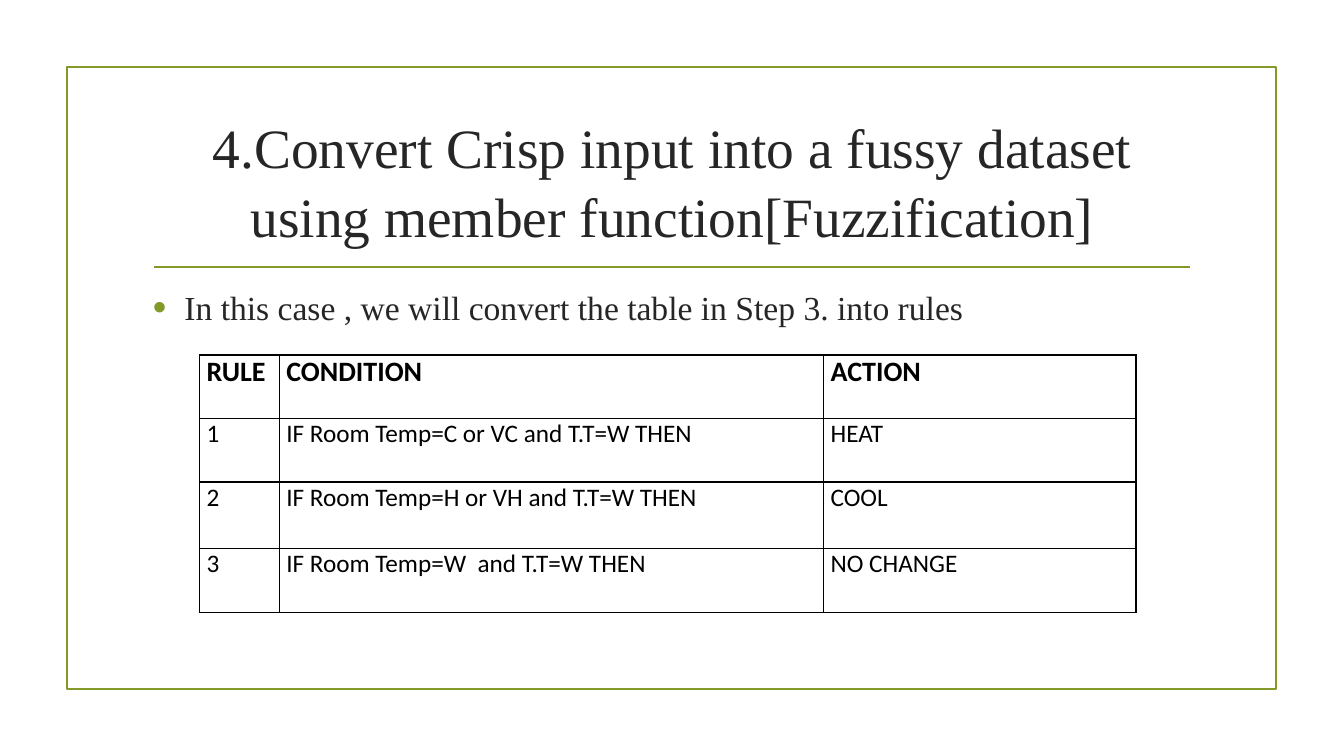
from lxml.etree import SubElement
from pptx import Presentation
from pptx.dml.color import RGBColor
from pptx.enum.shapes import MSO_CONNECTOR as Connector, MSO_SHAPE as Shape
from pptx.enum.text import MSO_ANCHOR as Anchor, MSO_AUTO_SIZE as AutoSize, PP_ALIGN as Align
from pptx.oxml.ns import qn
from pptx.util import Pt

OLIVE = RGBColor(0x83, 0x99, 0x2A)
CHARCOAL = RGBColor(0x26, 0x26, 0x26)
BLACK = RGBColor(0, 0, 0)
WHITE = RGBColor(255, 255, 255)

COLUMN_WIDTHS = [56.9, 388.8, 223.2]
ROW_HEIGHTS = [45.4, 45.4, 47.5, 45.4]
RULES = [
    ("RULE", "CONDITION", "ACTION"),
    ("1", "IF Room Temp=C or VC and T.T=W THEN", "HEAT"),
    ("2", "IF Room Temp=H or VH and T.T=W THEN", "COOL"),
    ("3", "IF Room Temp=W  and T.T=W THEN", "NO CHANGE"),
]


def apply(target, values):
    for name, value in values.items():
        setattr(target, name, value)


class RuleSlide:
    heading_font = "Times New Roman"
    table_font = "Calibri"
    line_width = 1.25
    border_width = 1

    def __init__(self, presentation):
        self.slide = presentation.slides.add_slide(presentation.slide_layouts[5])

    def add_text(self, paragraph, text, font, size, color, bold=False):
        run = paragraph.add_run()
        run.text = text
        apply(run.font, {"name": font, "size": Pt(size), "bold": bold})
        run.font.color.rgb = color

    def place(self, shape, left, top, width, height):
        apply(shape, {"left": Pt(left), "top": Pt(top),
                      "width": Pt(width), "height": Pt(height)})

    def outline(self, shape):
        shape.line.color.rgb = OLIVE
        shape.line.width = Pt(self.line_width)

    def frame(self, left, top, width, height):
        shape = self.slide.shapes.add_shape(
            Shape.RECTANGLE, Pt(left), Pt(top), Pt(width), Pt(height))
        shape.shadow.inherit = False
        shape.fill.background()
        self.outline(shape)

    def divider(self, left, right, y):
        connector = self.slide.shapes.add_connector(
            Connector.STRAIGHT, Pt(left), Pt(y), Pt(right), Pt(y))
        self.outline(connector)
        SubElement(connector._element.spPr, qn("a:effectLst"))

    def title(self, text, *box):
        shape = self.slide.shapes.title
        self.place(shape, *box)
        apply(shape.text_frame, {"word_wrap": True, "auto_size": AutoSize.NONE,
                                 "vertical_anchor": Anchor.MIDDLE})
        paragraph = shape.text_frame.paragraphs[0]
        apply(paragraph, {"alignment": Align.CENTER, "line_spacing": 1.04})
        self.add_text(paragraph, text, self.heading_font, 39.6, CHARCOAL)

    def bullet(self, text, left, top, width, height):
        shape = self.slide.shapes.add_textbox(Pt(left), Pt(top), Pt(width), Pt(height))
        shape.text_frame.word_wrap = True
        paragraph = shape.text_frame.paragraphs[0]
        apply(paragraph, {"space_before": Pt(4.8), "space_after": Pt(6)})
        self.add_text(paragraph, text, self.heading_font, 24, CHARCOAL)
        properties = paragraph._p.get_or_add_pPr()
        properties.set("marL", str(Pt(22.5)))
        properties.set("indent", str(Pt(-22.5)))
        color = SubElement(properties, qn("a:buClr"))
        SubElement(color, qn("a:srgbClr"), val=str(OLIVE))
        SubElement(properties, qn("a:buSzPct"), val="115000")
        SubElement(properties, qn("a:buFont"), typeface="Arial")
        SubElement(properties, qn("a:buChar"), char="•")

    def borders(self, cell):
        properties = cell._tc.get_or_add_tcPr()
        for position, side in enumerate(("a:lnL", "a:lnR", "a:lnT", "a:lnB")):
            line = properties.makeelement(qn(side), {"w": str(Pt(self.border_width))})
            fill = SubElement(line, qn("a:solidFill"))
            SubElement(fill, qn("a:srgbClr"), val=str(BLACK))
            properties.insert(position, line)

    def table(self, rows, widths, heights, left, top):
        table = self.slide.shapes.add_table(
            len(rows), len(widths), Pt(left), Pt(top),
            Pt(sum(widths)), Pt(sum(heights))).table
        apply(table, {"first_row": False, "horz_banding": False})
        for column, width in zip(table.columns, widths):
            column.width = Pt(width)
        for row, height, texts in zip(table.rows, heights, rows):
            row.height = Pt(height)
            header = texts is rows[0]
            for cell, text in zip(row.cells, texts):
                apply(cell, {"margin_left": Pt(5), "margin_right": Pt(5),
                             "margin_top": 0, "margin_bottom": 0})
                cell.fill.solid()
                cell.fill.fore_color.rgb = WHITE
                self.borders(cell)
                self.add_text(cell.text_frame.paragraphs[0], text, self.table_font,
                              20 if header else 18, BLACK, header)


def main():
    presentation = Presentation()
    apply(presentation, {"slide_width": Pt(960), "slide_height": Pt(540)})
    page = RuleSlide(presentation)
    page.frame(47.7, 48, 864, 444.2)
    page.divider(110.2, 850.3, 190.8)
    page.title("4.Convert Crisp input into a fussy dataset "
               "using member function[Fuzzification]", 102.2, 77, 756, 103)
    page.bullet("In this case , we will convert the table in Step 3. into rules",
                102.2, 201.6, 756, 261.4)
    page.table(RULES, COLUMN_WIDTHS, ROW_HEIGHTS, 142.6, 253.6)
    presentation.save("out.pptx")


if __name__ == "__main__":
    main()
